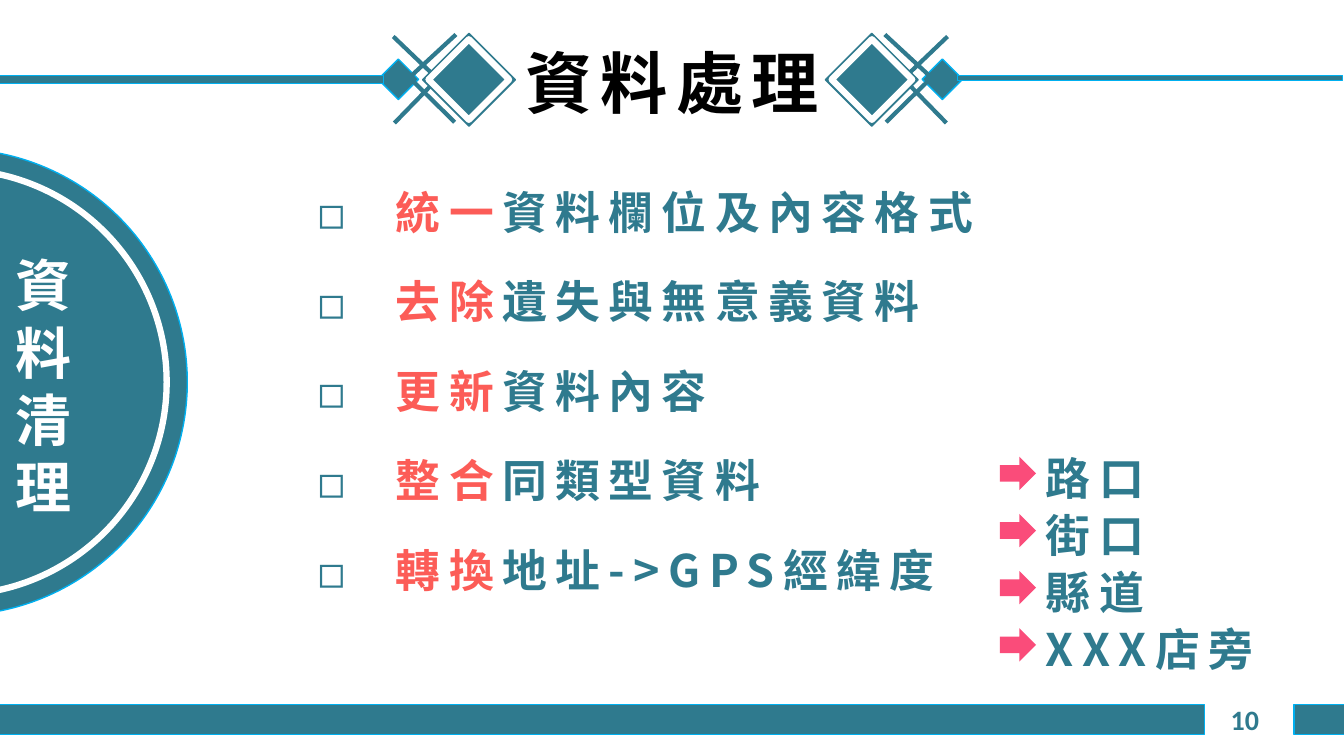
from lxml import etree
from pptx import Presentation
from pptx.dml.color import RGBColor
from pptx.enum.shapes import MSO_CONNECTOR, MSO_SHAPE
from pptx.enum.text import MSO_ANCHOR, MSO_AUTO_SIZE, PP_ALIGN
from pptx.oxml.ns import qn
from pptx.util import Cm, Pt

DIAMOND, RECTANGLE, OVAL, ARROW = (
    MSO_SHAPE.DIAMOND, MSO_SHAPE.RECTANGLE, MSO_SHAPE.OVAL, MSO_SHAPE.RIGHT_ARROW)
STRAIGHT = MSO_CONNECTOR.STRAIGHT
TOP, MIDDLE = MSO_ANCHOR.TOP, MSO_ANCHOR.MIDDLE
LEFT, RIGHT = PP_ALIGN.LEFT, PP_ALIGN.RIGHT
NO_AUTOFIT = MSO_AUTO_SIZE.NONE

COLOURS = {"teal": "2F7A8E", "sky": "00B0F0", "white": "FFFFFF",
           "black": "000000", "coral": "FC5C57", "pink": "FA4C7A"}
TITLE_FONT, BODY_FONT, NUMBER_FONT = "Noto Sans CJK SC", "Noto Sans CJK TC", "Calibri"

CLEANING_STEPS = [
    ("統一", "資料欄位及內容格式"),
    ("去除", "遺失與無意義資料"),
    ("更新", "資料內容"),
    ("整合", "同類型資料"),
    ("轉換", "地址->GPS經緯度"),
]
# Each address kind with the width of its label
ADDRESS_KINDS = [("路口", 3.23), ("街口", 3.23), ("縣道", 3.23), ("XXX店旁", 6.12)]


def colour(name):
    return RGBColor.from_string(COLOURS[name])


def add_text(paragraph, text, size=32, font=BODY_FONT, fill="teal", spacing=6):
    run = paragraph.add_run()
    run.text = text
    run.font.size = Pt(size)
    run.font.bold = True
    run.font.name = font
    run.font.color.rgb = colour(fill)
    properties = run.font._element
    etree.SubElement(properties, qn("a:ea")).set("typeface", font)
    properties.set("spc", str(spacing * 100))


def prepare_frame(shape, wrap=True, anchor=TOP):
    frame = shape.text_frame
    frame.auto_size = NO_AUTOFIT
    frame.word_wrap = wrap
    frame.vertical_anchor = anchor
    return frame


def place(shape, left, top, width, height):
    shape.left, shape.top = Cm(left), Cm(top)
    shape.width, shape.height = Cm(width), Cm(height)


def add_text_box(shapes, box, text, wrap=True, anchor=TOP, align=LEFT,
                 line_height=None, **text_format):
    shape = shapes.add_textbox(*map(Cm, box))
    paragraph = prepare_frame(shape, wrap, anchor).paragraphs[0]
    paragraph.alignment = align
    if line_height:
        paragraph.line_spacing = Pt(line_height)
    add_text(paragraph, text, **text_format)


def add_figure(shapes, kind, box, fill="teal", line="sky", line_width=1):
    shape = shapes.add_shape(kind, *map(Cm, box))
    shape.shadow.inherit = False
    shape.fill.solid()
    shape.fill.fore_color.rgb = colour(fill)
    if line:
        shape.line.color.rgb = colour(line)
        shape.line.width = Pt(line_width)
    else:
        shape.line.fill.background()


def add_line(shapes, *points):
    connector = shapes.add_connector(STRAIGHT, *map(Cm, points))
    connector.line.color.rgb = colour("teal")
    connector.line.width = Pt(3)
    etree.SubElement(connector._element.spPr, qn("a:effectLst"))


def build_ornament(slide, left, top, mirrored=False):
    """Diamonds and crossed strokes beside the title."""
    total = 3.46
    shapes = slide.shapes.add_group_shape().shapes

    def across(x, width=0):
        return left + (total - x - width if mirrored else x)

    def diamond(x, y, size, **style):
        add_figure(shapes, DIAMOND, (across(x, size), top + y, size, size), **style)

    diamond(0, 0.65, 1.02)
    for x1, y1, x2, y2 in [(0.38, 0.08, 1.52, 1.17), (1.5, 1.14, 0.41, 2.26),
                           (1.96, 0.03, 0.76, 1.14), (0.79, 1.12, 1.93, 2.24)]:
        add_line(shapes, across(x1), top + y1, across(x2), top + y2)
    diamond(1.12, 0, 2.34, line="teal")
    diamond(1.27, 0.15, 2.03, line="white", line_width=4.5)


def build_header(slide, left, top):
    build_ornament(slide, left, top)
    build_ornament(slide, left + 11.27, top, mirrored=True)
    for bar in [(-0.03, 1.9, 9.7, 0.2), (24.13, 1.9, 9.7, 0.13)]:
        add_figure(slide.shapes, RECTANGLE, bar)
    title = slide.shapes.title
    place(title, left + 3.45, top - 0.05, 8.2, 2.31)
    paragraph = prepare_frame(title, wrap=False).paragraphs[0]
    paragraph.alignment = LEFT
    paragraph.line_spacing = Pt(61)
    add_text(paragraph, "資料處理", size=48, font=TITLE_FONT, fill="black")


def build_footer(slide, top):
    for left, width in [(-0.03, 30.38), (32.61, 1.27)]:
        add_figure(slide.shapes, RECTANGLE, (left, top, width, 0.76))
    add_text_box(slide.shapes, (24.36, top - 0.13, 7.62, 1.02), "10", anchor=MIDDLE,
                 align=RIGHT, size=20, font=NUMBER_FONT, spacing=0)


def set_bullet(paragraph, character, indent):
    properties = paragraph._element.get_or_add_pPr()
    properties.set("marL", str(Cm(indent)))
    properties.set("indent", str(-Cm(indent)))
    bullet_colour = etree.SubElement(properties, qn("a:buClr"))
    etree.SubElement(bullet_colour, qn("a:srgbClr")).set("val", COLOURS["teal"])
    etree.SubElement(properties, qn("a:buFont")).set("typeface", BODY_FONT)
    etree.SubElement(properties, qn("a:buChar")).set("char", character)


def build_steps(slide, left, top, width, height):
    body = slide.placeholders[1]
    place(body, left, top, width, height)
    frame = prepare_frame(body)
    for index, (action, target) in enumerate(CLEANING_STEPS):
        paragraph = frame.add_paragraph() if index else frame.paragraphs[0]
        set_bullet(paragraph, "◻", 1.97)
        paragraph.line_spacing = Pt(36)
        paragraph.space_before = Pt(10 if index else 0)
        paragraph.space_after = Pt(18)
        add_text(paragraph, action, fill="coral")
        add_text(paragraph, target)


def build_address_kinds(slide, left, top, pitch):
    shapes = slide.shapes.add_group_shape().shapes
    for index, (label, width) in enumerate(ADDRESS_KINDS):
        row = top + index * pitch
        add_figure(shapes, ARROW, (left, row + 0.38, 0.91, 0.84), fill="pink", line=None)
        add_text_box(shapes, (left + 0.91, row, width, 1.63), label,
                     wrap=False, line_height=41)


def build_section_badge(slide, centre_x, centre_y):
    shapes = slide.shapes.add_group_shape().shapes
    for radius, line, line_width in [(5.88, "sky", 1), (5.36, "white", 4.5)]:
        box = (centre_x - radius, centre_y - radius, 2 * radius, 2 * radius)
        add_figure(shapes, OVAL, box, line=line, line_width=line_width)
    add_text_box(shapes, (centre_x + 1.29, centre_y - 3.43, 2.44, 7.09), "資料清理",
                 line_height=48, size=40, fill="white", spacing=0)


def main():
    presentation = Presentation()
    presentation.slide_width, presentation.slide_height = Cm(33.87), Cm(19.05)
    # Title and Content layout
    slide = presentation.slides.add_slide(presentation.slide_layouts[1])
    build_header(slide, 9.53, 0.84)
    build_footer(slide, 17.75)
    build_steps(slide, 7.75, 4.6, 21.03, 12.57)
    build_address_kinds(slide, 25.2, 11.13, 1.44)
    build_section_badge(slide, -1.16, 9.63)
    presentation.save("out.pptx")


if __name__ == "__main__":
    main()
